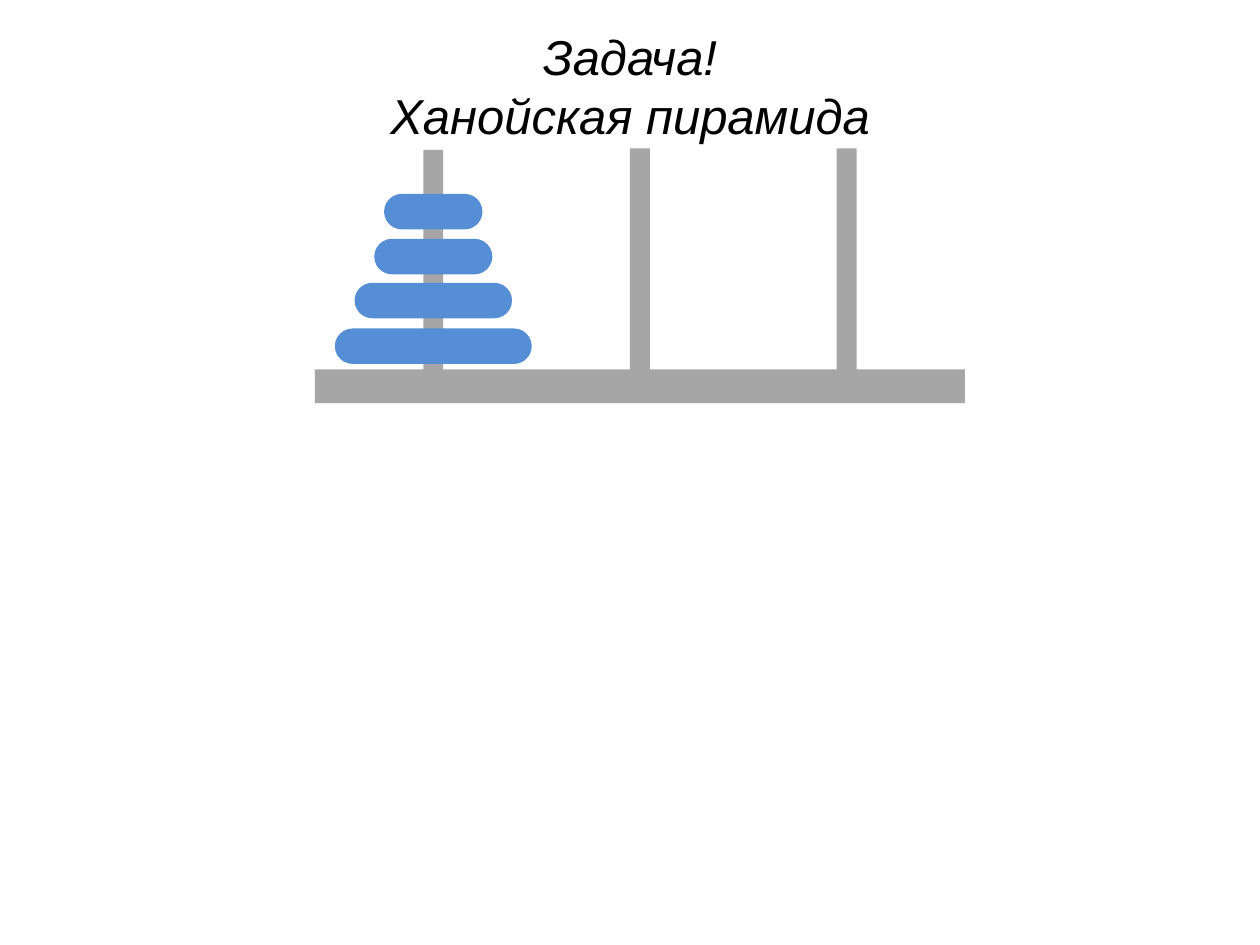
from pptx import Presentation
from pptx.dml.color import RGBColor
from pptx.enum.shapes import MSO_SHAPE as Shape
from pptx.enum.text import MSO_ANCHOR as Anchor, PP_ALIGN as Align
from pptx.util import Pt

SLIDE_W, SLIDE_H = 720, 540
GREY, BLUE, BLACK = "A6A6A6", "558ED5", "000000"

HEADINGS = [("Задача!", 11.5), ("Ханойская пирамида", 45.4)]  # text, top
HEADING_H = 39.6
HEADING_FONT = {"name": "Arial", "size": Pt(28), "italic": True}

BASE = (180, 211.1, 371.4, 19.4)
FIRST_PEG_X, PEG_STEP = 247.6, 118.1  # centre lines
PEG_W, PEG_H = 11.4, 127.2
PEG_TOPS = [85.6, 84.8, 84.8]
DISKS = [(112.5, 187.7), (90, 161.6), (67.5, 136.5), (56.25, 110.8)]  # width, top
DISK_H = 20.3


def rgb(color):
    return RGBColor.from_string(color)


def add_block(slide, kind, left, top, width, height, color):
    block = slide.shapes.add_shape(kind, Pt(left), Pt(top), Pt(width), Pt(height))
    block.shadow.inherit = False
    block.fill.solid()
    block.fill.fore_color.rgb = rgb(color)
    block.line.fill.background()
    return block


def add_heading(slide, text, top):
    frame = slide.shapes.add_textbox(0, Pt(top), Pt(SLIDE_W), Pt(HEADING_H)).text_frame
    frame.word_wrap = True
    frame.vertical_anchor = Anchor.TOP
    line = frame.paragraphs[0]
    line.alignment = Align.CENTER
    run = line.add_run()
    run.text = text
    for key, value in HEADING_FONT.items():
        setattr(run.font, key, value)
    run.font.color.rgb = rgb(BLACK)


def main():
    deck = Presentation()
    deck.slide_width, deck.slide_height = Pt(SLIDE_W), Pt(SLIDE_H)
    slide = deck.slides.add_slide(deck.slide_layouts[6])

    add_block(slide, Shape.RECTANGLE, *BASE, GREY)
    for i, top in enumerate(PEG_TOPS):
        left = FIRST_PEG_X + i * PEG_STEP - PEG_W / 2
        add_block(slide, Shape.RECTANGLE, left, top, PEG_W, PEG_H, GREY)
    for width, top in DISKS:
        left = FIRST_PEG_X - width / 2
        disk = add_block(slide, Shape.ROUNDED_RECTANGLE, left, top, width, DISK_H, BLUE)
        disk.adjustments[0] = 0.5
    for text, top in HEADINGS:
        add_heading(slide, text, top)

    deck.save("out.pptx")


if __name__ == "__main__":
    main()
